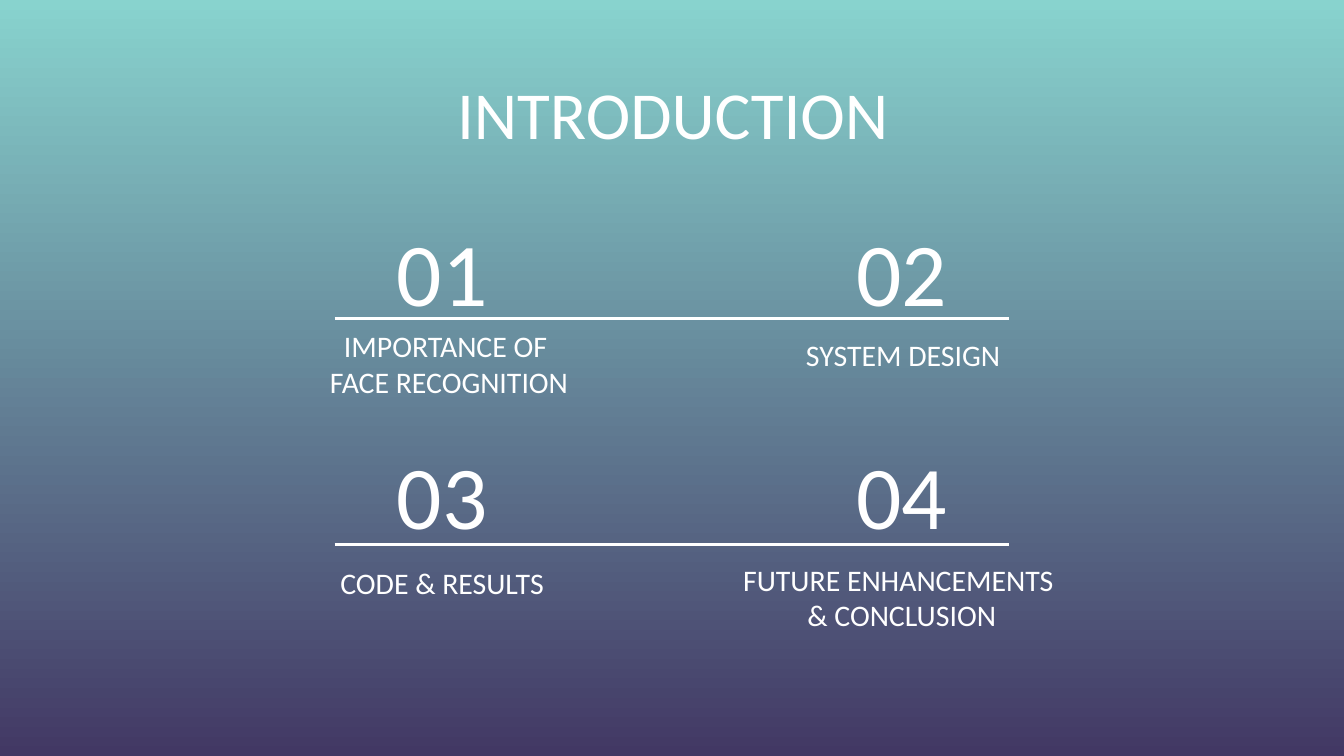
from dataclasses import dataclass
from lxml.etree import SubElement
from pptx import Presentation
from pptx.dml.color import RGBColor
from pptx.enum.shapes import MSO_CONNECTOR as Connector
from pptx.enum.text import MSO_ANCHOR as Anchor, PP_ALIGN as Align
from pptx.oxml.ns import qn
from pptx.util import Pt


@dataclass(frozen=True)
class Theme:
    font: str = "Calibri"
    text: str = "FFFFFF"
    gradient: tuple = ("88D3CE", "423864")
    title_size: int = 36
    number_size: int = 48
    label_size: int = 16
    rule_width: float = 1.5
    inset: float = 7.2


THEME = Theme()

TITLE = "INTRODUCTION"
TOPICS = [
    {"lines": ["IMPORTANCE OF ", "FACE RECOGNITION"], "center": 240.5, "bottom": 221},
    {"lines": ["SYSTEM DESIGN"], "center": 483.8, "bottom": 206.6},
    {"lines": ["CODE & RESULTS"], "center": 236.9, "bottom": 329},
    {"lines": ["FUTURE ENHANCEMENTS ", "& CONCLUSION"], "center": 483.1, "bottom": 346.3},
]

COLUMN_CENTERS = (236.9, 483.1)
NUMBER_TOPS = (122.4, 241.9)
RULE_TOPS = (170.6, 291.6)
RULE_LEFT, RULE_RIGHT = 179.3, 540.7
NUMBER_WIDTH, LABEL_WIDTH, BOX_HEIGHT = 138.2, 239, 45.4


def add_text(page, lines, left, top, width, height, *, size, anchor):
    box = page.shapes.add_textbox(Pt(left), Pt(top), Pt(width), Pt(height))
    frame = box.text_frame
    frame.word_wrap = True
    frame.vertical_anchor = anchor
    frame.margin_left = frame.margin_right = Pt(THEME.inset)
    frame.margin_top = frame.margin_bottom = Pt(THEME.inset)
    for index, line in enumerate(lines):
        para = frame.add_paragraph() if index else frame.paragraphs[0]
        para.alignment = Align.CENTER
        span = para.add_run()
        span.text = line
        span.font.name = THEME.font
        span.font.size = Pt(size)
        span.font.color.rgb = RGBColor.from_string(THEME.text)


def add_rule(page, top):
    rule = page.shapes.add_connector(
        Connector.STRAIGHT, Pt(RULE_LEFT), Pt(top), Pt(RULE_RIGHT), Pt(top)
    )
    rule.line.width = Pt(THEME.rule_width)
    rule.line.color.rgb = RGBColor.from_string(THEME.text)
    SubElement(rule.element.spPr, qn("a:effectLst"))


def paint_background(page):
    fill = page.background.fill
    fill.gradient()
    fill.gradient_angle = 270
    for position, (stop, color) in enumerate(zip(fill.gradient_stops, THEME.gradient)):
        stop.position = position
        stop.color.rgb = RGBColor.from_string(color)


def main():
    deck = Presentation()
    deck.slide_width, deck.slide_height = Pt(720), Pt(405)
    page = deck.slides.add_slide(deck.slide_layouts[6])
    paint_background(page)

    add_text(page, [TITLE], 88.6, 31.7, 543.6, 74.2,
             size=THEME.title_size, anchor=Anchor.TOP)
    for index, topic in enumerate(TOPICS):
        row, column = divmod(index, len(COLUMN_CENTERS))
        add_text(page, [f"{index + 1:02d}"],
                 COLUMN_CENTERS[column] - NUMBER_WIDTH / 2, NUMBER_TOPS[row],
                 NUMBER_WIDTH, BOX_HEIGHT,
                 size=THEME.number_size, anchor=Anchor.MIDDLE)
        add_text(page, topic["lines"],
                 topic["center"] - LABEL_WIDTH / 2, topic["bottom"] - BOX_HEIGHT,
                 LABEL_WIDTH, BOX_HEIGHT,
                 size=THEME.label_size, anchor=Anchor.BOTTOM)
    for top in RULE_TOPS:
        add_rule(page, top)

    deck.save("out.pptx")


if __name__ == "__main__":
    main()
